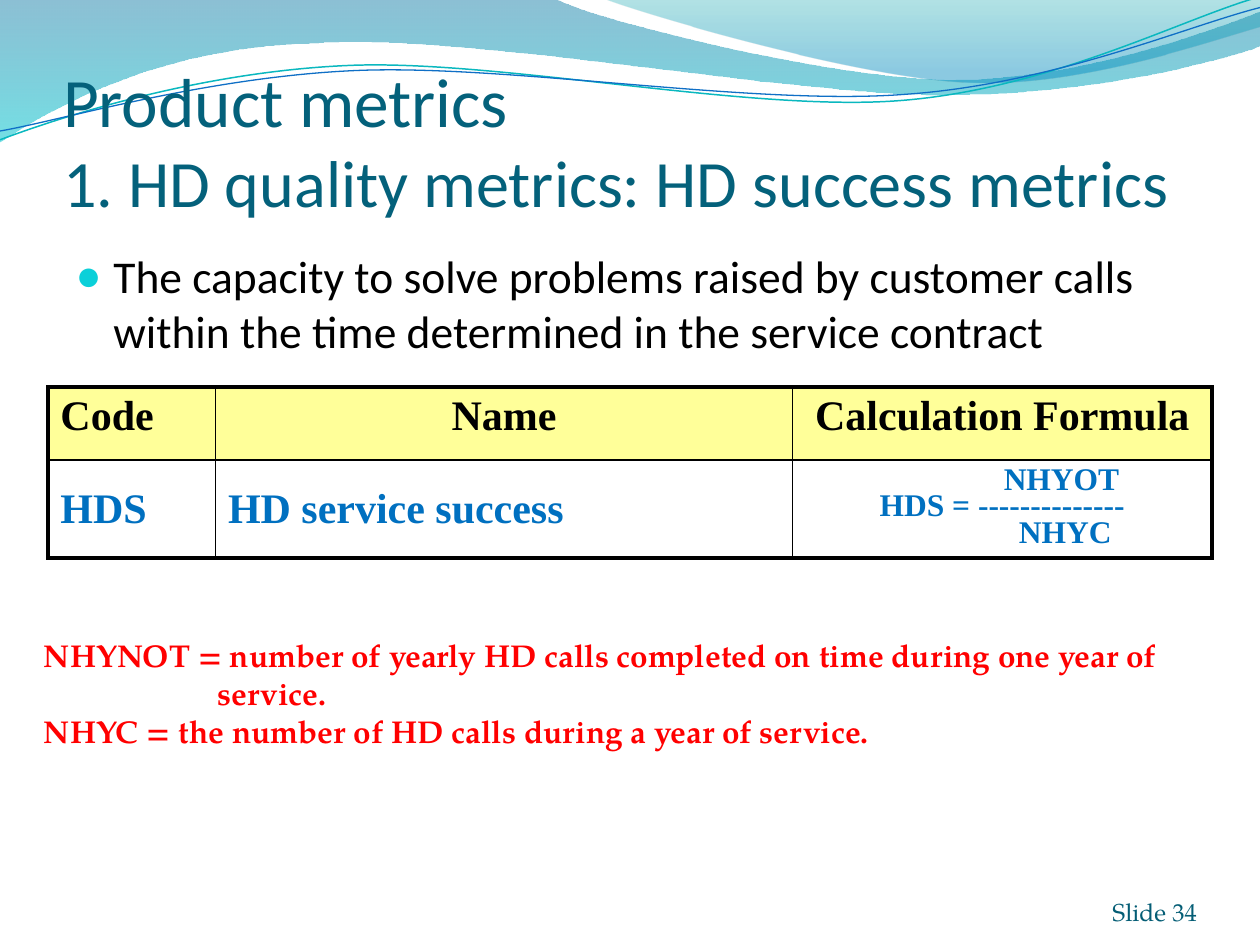
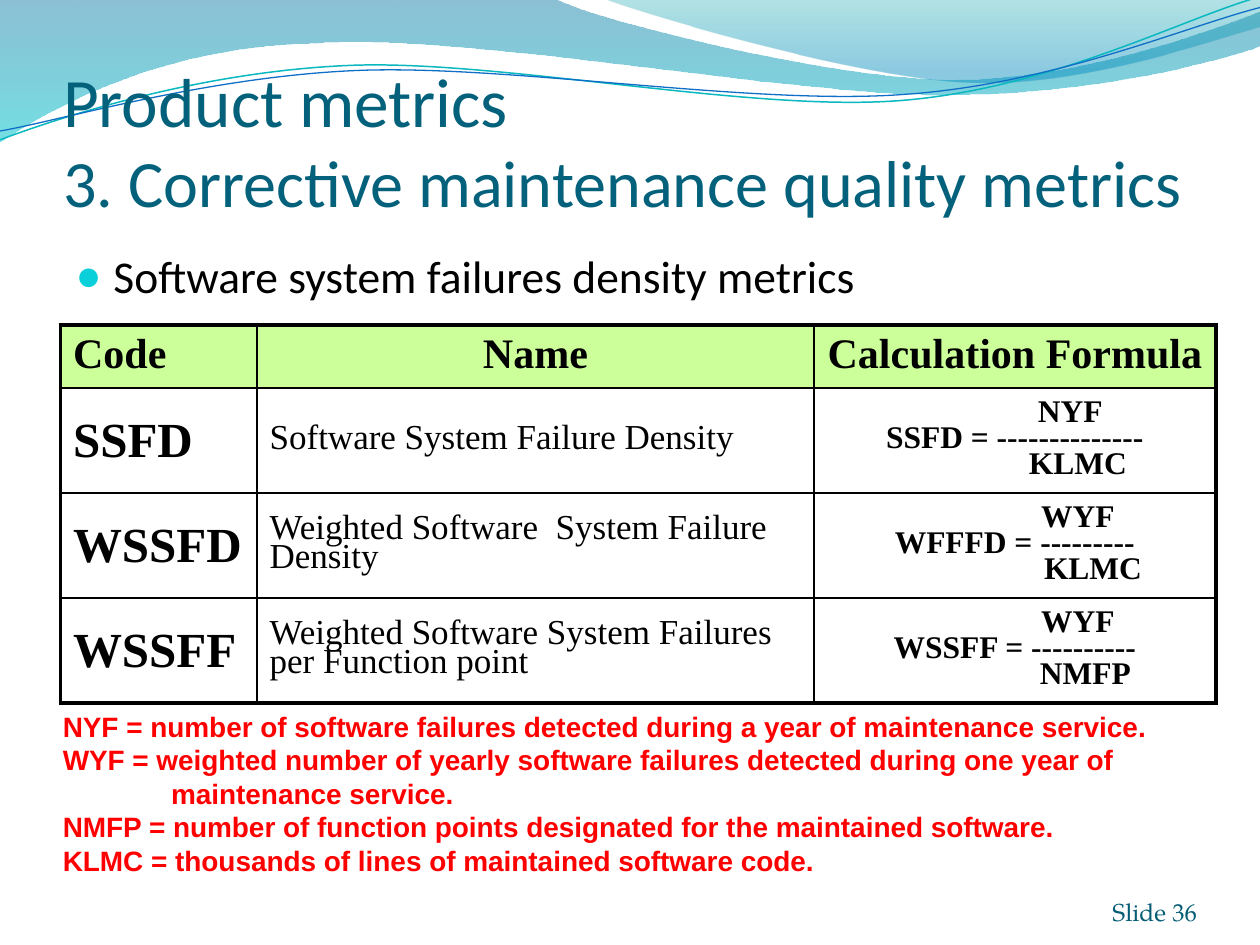
from dataclasses import dataclass

import lxml.etree
import pptx
import pptx.dml.color
import pptx.enum.text
import pptx.oxml.ns
import pptx.util

Inches = pptx.util.Inches
Pt = pptx.util.Pt
qn = pptx.oxml.ns.qn
Align = pptx.enum.text.PP_ALIGN
Anchor = pptx.enum.text.MSO_ANCHOR


@dataclass(frozen=True)
class Theme:
    title: str = "04617B"
    footer: str = "045D75"
    ink: str = "000000"
    note: str = "FF0000"
    accent: str = "0070C0"
    bullet: str = "0BD0D9"
    heading_font: str = "Calibri"
    table_font: str = "Times New Roman"
    footer_font: str = "TeX Gyre Pagella"
    title_sizes: tuple = (39.6, 37.8)
    body_size: float = 26
    header_size: float = 24
    formula_size: float = 18
    footer_size: float = 14
    outer_line: float = 2.25
    inner_line: float = 1


THEME = Theme()

# Each ribbon: start point, cubic or straight segments, gradient stops (position, colour, opacity)
RIBBONS = [
    ((0, 0),
     [[(4.4, -0.01)],
      [(4.76, 0.17), (6.64, 0.63), (7.58, 0.63)],
      [(8.53, 0.63), (9.58, 0.26), (10, 0.09)],
      [(10.01, 0.36)],
      [(9.83, 0.44), (8.7, 0.76), (7.46, 0.75)],
      [(6.22, 0.75), (3.82, 0.28), (2.57, 0.34)],
      [(1.29, 0.36), (0.46, 0.83), (-0.01, 1.13)],
      [(0, 0)]],
     [(0, "0074A1", 45), (1, "00C6CF", 55)]),
    ((4.79, -0.01),
     [[(5.09, 0.11), (6.82, 0.62), (7.69, 0.65)],
      [(8.56, 0.69), (9.61, 0.32), (10, 0.21)],
      [(10, 0)],
      [(4.79, -0.01)]],
     [(0, "00A1A9", 30), (0.8, "008BBF", 45)]),
]
# Each strand: start point, cubic segments, colour, width
STRANDS = [
    ((0, 1.11),
     [[(0.48, 0.93), (1.58, 0.57), (2.77, 0.52)],
      [(3.95, 0.47), (5.93, 0.89), (7.13, 0.8)],
      [(8.33, 0.71), (9.38, 0.15), (9.98, -0.02)]],
     "0AB8BF", 0.85),
    ((0, 1.04),
     [[(0.47, 0.96), (1.64, 0.61), (2.83, 0.56)],
      [(4.03, 0.51), (5.97, 0.84), (7.17, 0.75)],
      [(8.36, 0.67), (9.41, 0.21), (10, 0.06)]],
     "0F6FC6", 0.75),
]


def rgb(code):
    return pptx.dml.color.RGBColor.from_string(code)


def style_font(font, name, size, color, bold=False):
    font.name, font.bold = name, bold
    font.color.rgb = rgb(color)
    if size:
        font.size = Pt(size)


def indent(para, left, first=0):
    props = para._p.get_or_add_pPr()
    props.set("marL", str(Inches(left)))
    props.set("indent", str(Inches(first)))


def write_paragraphs(frame, texts):
    """Fill the frame with one paragraph per text and yield each paragraph."""
    for index, text in enumerate(texts):
        para = frame.add_paragraph() if index else frame.paragraphs[0]
        para.text = text
        yield para


def place(shape, box):
    shape.left, shape.top, shape.width, shape.height = map(Inches, box)


def set_margins(frame, left, top, right, bottom):
    frame.margin_left, frame.margin_top = Inches(left), Inches(top)
    frame.margin_right, frame.margin_bottom = Inches(right), Inches(bottom)


def draw_curve(page, start, segments, close):
    """Build a freeform, then turn each three-point segment into a cubic curve."""
    points = [(Inches(x), Inches(y)) for x, y in sum(segments, [start])]
    builder = page.shapes.build_freeform(*points[0])
    builder.add_line_segments(points[1:], close=close)
    curve = builder.convert_to_shape()
    curve.shadow.inherit = False
    lines = iter(list(curve._element.iter(qn("a:lnTo"))))
    for segment in segments:
        first, *others = [next(lines) for _ in segment]
        if others:
            first.tag = qn("a:cubicBezTo")
            for other in others:
                first.append(other[0])
                other.getparent().remove(other)
    return curve


def add_waves(page):
    """Draw the header waves and hand them to the layout that all pages share."""
    waves = []
    for start, segments, stops in RIBBONS:
        ribbon = draw_curve(page, start, segments, True)
        ribbon.line.fill.background()
        ribbon.fill.gradient()
        ribbon.fill.gradient_angle = 270
        for stop, (position, color, _) in zip(ribbon.fill.gradient_stops, stops):
            stop.position = position
            stop.color.rgb = rgb(color)
        colors = ribbon._element.spPr.iter(qn("a:srgbClr"))
        for node, (_, _, opacity) in zip(colors, stops):
            lxml.etree.SubElement(node, qn("a:alpha"), val=str(opacity * 1000))
        waves.append(ribbon)
    for start, segments, color, width in STRANDS:
        strand = draw_curve(page, start, segments, False)
        strand.fill.background()
        strand.line.color.rgb = rgb(color)
        strand.line.width = Pt(width)
        waves.append(strand)
    for wave in waves:
        page.slide_layout.shapes._spTree.append(wave._element)


def add_title(page, box, lines):
    title = page.shapes.title
    place(title, box)
    frame = title.text_frame
    frame.auto_size = pptx.enum.text.MSO_AUTO_SIZE.NONE
    frame.vertical_anchor = Anchor.BOTTOM
    set_margins(frame, 0, 0.05, 0, 0)
    para = frame.paragraphs[0]
    para.alignment = Align.LEFT
    style_font(para.font, THEME.heading_font, None, THEME.title)
    for index, (line, size) in enumerate(zip(lines, THEME.title_sizes)):
        if index:
            para.add_line_break()
        span = para.add_run()
        span.text = line
        span.font.size = Pt(size)


def add_bullet(page, box, text):
    body = page.placeholders[1]
    place(body, box)
    frame = body.text_frame
    frame.auto_size = pptx.enum.text.MSO_AUTO_SIZE.NONE
    para = frame.paragraphs[0]
    para.text = text
    indent(para, 0.3, -0.3)
    props = para._p.get_or_add_pPr()
    color = lxml.etree.SubElement(props, qn("a:buClr"))
    lxml.etree.SubElement(color, qn("a:srgbClr"), val=THEME.bullet)
    lxml.etree.SubElement(props, qn("a:buSzPct"), val="95000")
    lxml.etree.SubElement(props, qn("a:buFont"), typeface="Arial")
    lxml.etree.SubElement(props, qn("a:buChar"), char="●")
    para.space_before = Pt(0)
    style_font(para.font, THEME.heading_font, THEME.body_size, THEME.ink)


def add_notes(page, box, lines, font, size, hang):
    frame = page.shapes.add_textbox(*map(Inches, box)).text_frame
    frame.word_wrap = True
    for para in write_paragraphs(frame, lines):
        indent(para, hang, -hang)
        style_font(para.font, font, size, THEME.note, True)


def add_footer(page, box, number):
    frame = page.shapes.add_textbox(*map(Inches, box)).text_frame
    frame.word_wrap = True
    frame.vertical_anchor = Anchor.BOTTOM
    set_margins(frame, 0, 0, 0, 0)
    para = frame.paragraphs[0]
    para.text = f"Slide {number}"
    para.alignment = Align.RIGHT
    style_font(para.font, THEME.footer_font, THEME.footer_size, THEME.footer)


def set_borders(cell, outer_sides):
    props = cell._tc.get_or_add_tcPr()
    for index, side in enumerate("LRTB"):
        width = THEME.outer_line if side in outer_sides else THEME.inner_line
        line = lxml.etree.Element(qn(f"a:ln{side}"), w=str(Pt(width)))
        fill = lxml.etree.SubElement(line, qn("a:solidFill"))
        lxml.etree.SubElement(fill, qn("a:srgbClr"), val=THEME.ink)
        props.insert(index, line)


def write_formula(cell, formula, color):
    """Stack a fraction; each shift moves its line right of the cell's centre."""
    numerator, middle, denominator, shifts = formula
    lines = write_paragraphs(cell.text_frame, (numerator, middle, denominator))
    for para, shift in zip(lines, (shifts[0], 0, shifts[1])):
        indent(para, 2 * shift)
        para.alignment = Align.CENTER
        para.line_spacing = 0.75
        style_font(para.font, THEME.table_font, THEME.formula_size, color, True)


def add_metrics_table(page, box, columns, header_height, header_fill, rows,
                      color, code_size, name_size, name_bold, name_spacing):
    grid = page.shapes.add_table(len(rows) + 1, len(columns), *map(Inches, box)).table
    grid.first_row = grid.horz_banding = False
    for column, width in zip(grid.columns, columns):
        column.width = Inches(width)
    row_height = (box[3] - header_height) / len(rows)
    for index, row in enumerate(grid.rows):
        row.height = Inches(row_height if index else header_height)

    for index, heading in enumerate(("Code", "Name", "Calculation Formula")):
        cell = grid.cell(0, index)
        cell.fill.solid()
        cell.fill.fore_color.rgb = rgb(header_fill)
        para = cell.text_frame.paragraphs[0]
        para.text = heading
        para.alignment = Align.CENTER if index else Align.LEFT
        style_font(para.font, THEME.table_font, THEME.header_size, THEME.ink, True)

    for index, (code, name, formula) in enumerate(rows, 1):
        for column in range(len(columns)):
            cell = grid.cell(index, column)
            cell.vertical_anchor = Anchor.MIDDLE
            cell.fill.background()
        labels = ((code, code_size, True, 1), (name, name_size, name_bold, name_spacing))
        for column, (text, size, bold, spacing) in enumerate(labels):
            para = grid.cell(index, column).text_frame.paragraphs[0]
            para.text = text
            para.line_spacing = spacing
            style_font(para.font, THEME.table_font, size, color, bold)
        write_formula(grid.cell(index, 2), formula, color)

    for r in range(len(rows) + 1):
        for c in range(len(columns)):
            edges = {"L": c == 0, "R": c == len(columns) - 1, "T": r == 0, "B": r == len(rows)}
            set_borders(grid.cell(r, c), [side for side, outer in edges.items() if outer])


def add_metrics_page(deck, subtitle, bullet, number, table, notes):
    page = deck.slides.add_slide(deck.slide_layouts[1])
    add_title(page, (0.5, 0.5, 9.17, 1.25), ("Product metrics", subtitle))
    add_bullet(page, (0.5, 1.92, 9.17, 5.17), bullet)
    add_metrics_table(page, **table)
    add_notes(page, **notes)
    add_footer(page, (8.67, 6.95, 0.83, 0.4), number)
    return page


def main():
    deck = pptx.Presentation()
    deck.slide_width, deck.slide_height = Inches(10), Inches(7.5)
    success_page = add_metrics_page(
        deck, "1. HD quality metrics: HD success metrics",
        "The capacity to solve problems raised by customer calls within the time "
        "determined in the service contract", 34,
        dict(box=(0.38, 3.07, 9.25, 1.36), columns=(1.33, 4.58, 3.33), header_height=0.58,
             header_fill="FFFF99", color=THEME.accent, code_size=24, name_size=24,
             name_bold=True, name_spacing=1,
             rows=[("HDS", "HD service success",
                    ("NHYOT", "HDS = --------------", "NHYC", (0.47, 0.5)))]),
        dict(box=(0.25, 5, 9.42, 1.31), font=THEME.footer_font, size=18, hang=1.38, lines=[
            "NHYNOT = number of yearly HD calls completed on time during one year of service.",
            "NHYC = the number of HD calls during a year of service."]))
    add_waves(success_page)
    add_metrics_page(
        deck, "3. Corrective maintenance quality metrics",
        "Software system failures density metrics", 36,
        dict(box=(0.48, 2.58, 9.17, 3), columns=(1.56, 4.42, 3.19), header_height=0.5,
             header_fill="CCFF99", color=THEME.ink, code_size=28, name_size=20,
             name_bold=False, name_spacing=0.75,
             rows=[("SSFD", "Software System Failure Density",
                    ("NYF", "SSFD = --------------", "KLMC", (0.44, 0.5))),
                   ("WSSFD", "Weighted Software  System Failure Density",
                    ("WYF", "WFFFD = ---------", "KLMC", (0.5, 0.62))),
                   ("WSSFF", "Weighted Software System Failures per Function point",
                    ("WYF", "WSSFF = ----------", "NMFP", (0.5, 0.56)))]),
        dict(box=(0.4, 5.58, 9.24, 1.45), font="Arial", size=16, hang=0.86, lines=[
            "NYF = number of software failures detected during a year of maintenance service.",
            "WYF = weighted number of yearly software failures detected during one year of\v"
            "maintenance service.",
            "NMFP = number of function points designated for the maintained software.",
            "KLMC = thousands of lines of maintained software code."]))
    deck.save("out.pptx")


if __name__ == "__main__":
    main()
